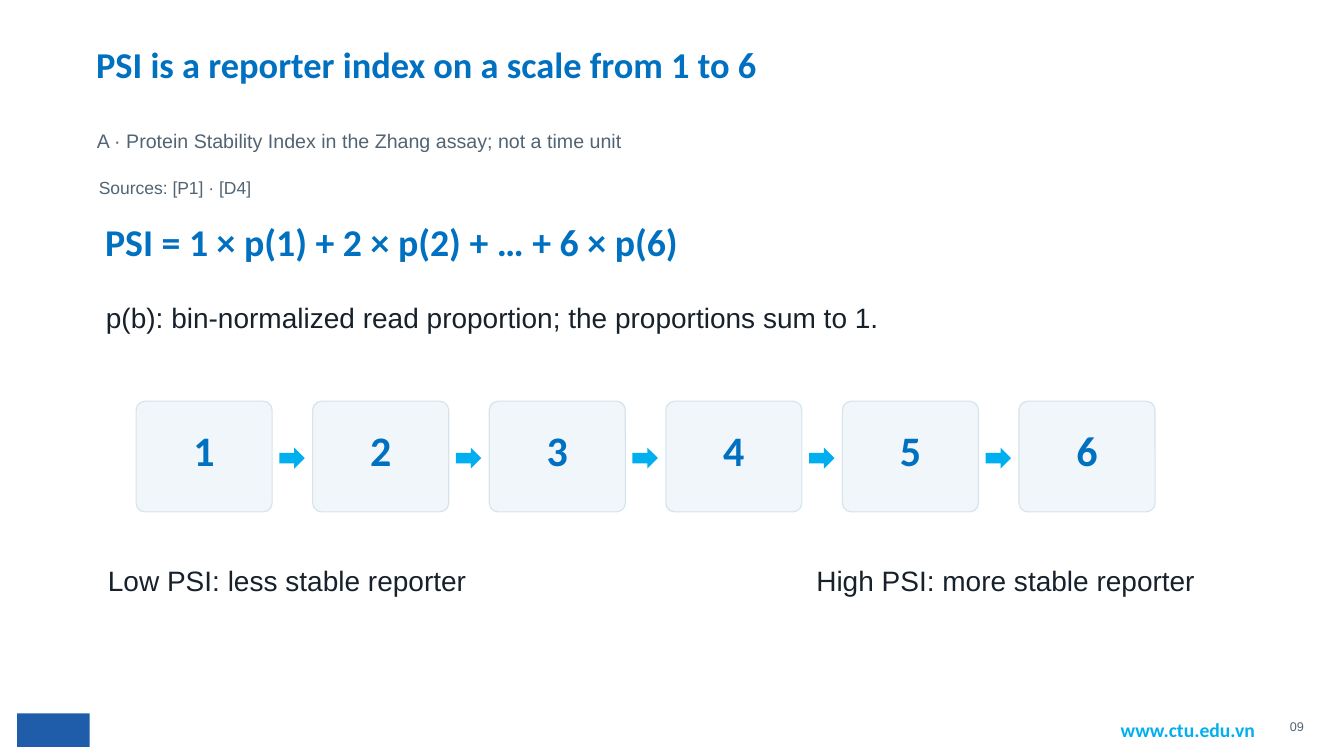
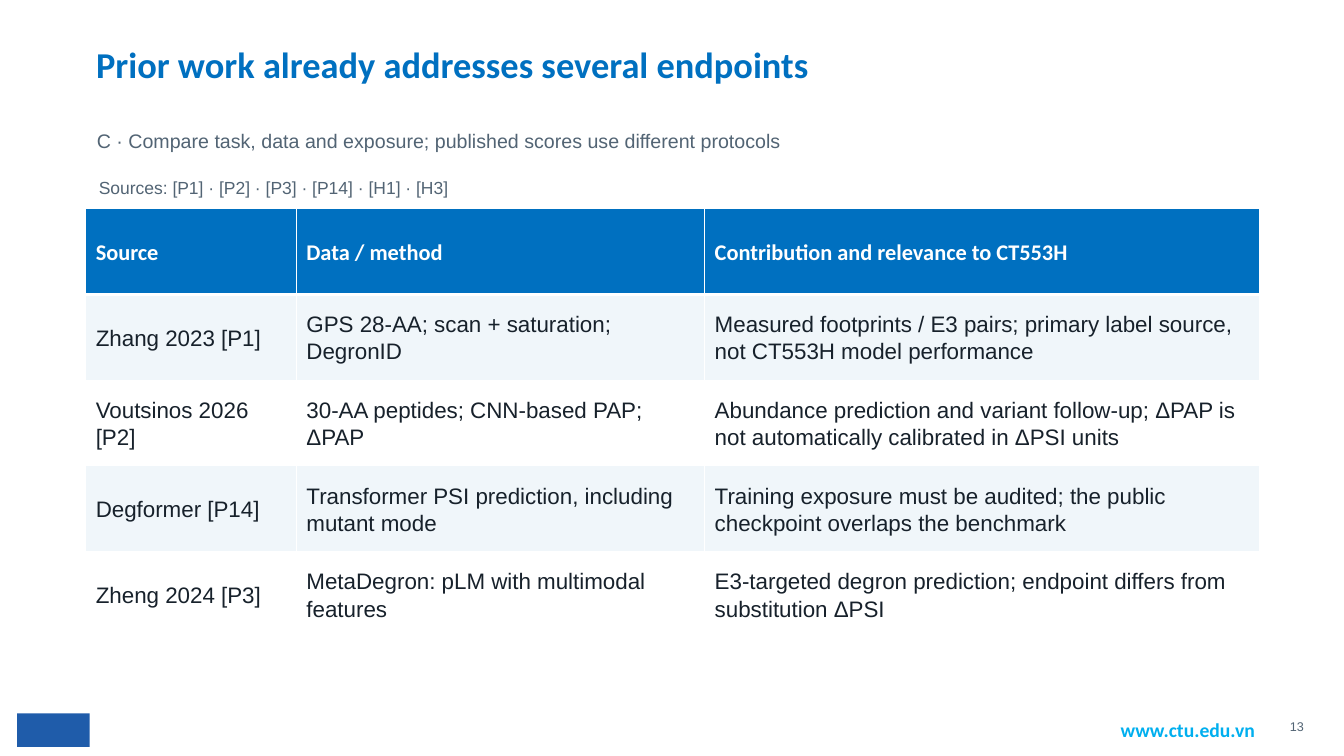
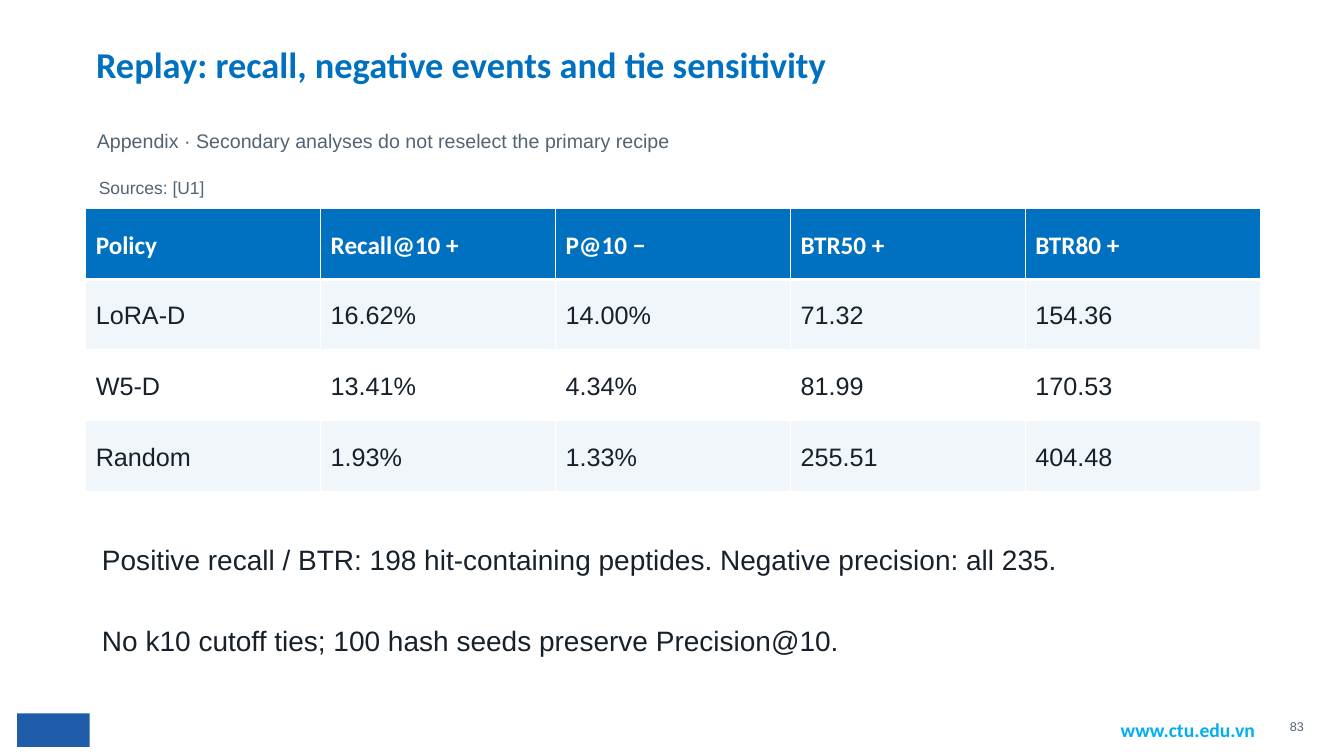
from dataclasses import dataclass, replace

import pptx
import pptx.dml.color
import pptx.enum.shapes
import pptx.enum.text
import pptx.oxml.ns
import pptx.util
from lxml import etree

Cm = pptx.util.Cm
Pt = pptx.util.Pt
Align = pptx.enum.text.PP_ALIGN
Anchor = pptx.enum.text.MSO_ANCHOR
Shape = pptx.enum.shapes.MSO_SHAPE
qn = pptx.oxml.ns.qn

HUES = {
    "blue": "0070C0",
    "cyan": "00AFEF",
    "navy": "1F5CAA",
    "ink": "17212B",
    "slate": "526474",
    "pale": "F0F6FA",
    "edge": "D6E3EC",
    "white": "FFFFFF",
}
HEAD, BODY = "Calibri", "Arial"
TITLE_ONLY, TITLE_BODY = 5, 1


@dataclass(frozen=True)
class Box:
    """Left, top, width and height in centimetres."""
    x: float
    y: float
    w: float
    h: float


@dataclass(frozen=True)
class Style:
    size: float
    hue: str
    face: str = BODY
    bold: bool = False
    align: Align = Align.LEFT
    lead: float = 1.13
    after: float = 3


@dataclass(frozen=True)
class Label:
    box: Box
    text: str
    style: Style


@dataclass(frozen=True)
class Grid:
    cols: list[float]
    row: float
    size: float
    rows: list[list[str]]


TITLE = Style(26, "blue", HEAD, True)
TOPIC = Style(14, "slate")
CITE = Style(12.5, "slate")
PAGE = Style(9, "slate", align=Align.RIGHT)
RULE = Style(27, "blue", HEAD, True)
BIN = Style(30, "blue", HEAD, True, Align.CENTER)
NOTE = Style(20, "ink")
SITE = Style(14, "cyan", HEAD, True, lead=1, after=0)


def tint(name: str) -> pptx.dml.color.RGBColor:
    return pptx.dml.color.RGBColor.from_string(HUES[name])


def place(shape, box: Box) -> None:
    shape.left, shape.top = Cm(box.x), Cm(box.y)
    shape.width, shape.height = Cm(box.w), Cm(box.h)


def inset(frame, gap: float = 0.03) -> None:
    """Sets all four inner margins and anchors the text at the top."""
    frame.margin_left = frame.margin_right = Cm(gap)
    frame.margin_top = frame.margin_bottom = Cm(gap)
    frame.vertical_anchor = Anchor.TOP
    frame.auto_size = pptx.enum.text.MSO_AUTO_SIZE.NONE
    frame.word_wrap = True


def write(para, text: str, style: Style) -> None:
    para.alignment = style.align
    para.line_spacing = style.lead
    para.space_before, para.space_after = Pt(0), Pt(style.after)
    run = para.add_run()
    run.text = text
    run.font.name, run.font.size = style.face, Pt(style.size)
    run.font.bold = style.bold
    run.font.color.rgb = tint(style.hue)


def add_text(slide, label: Label, tight: bool = True) -> None:
    box = label.box
    frame = slide.shapes.add_textbox(Cm(box.x), Cm(box.y), Cm(box.w), Cm(box.h)).text_frame
    frame.word_wrap = True
    if tight:
        inset(frame)
    write(frame.paragraphs[0], label.text, label.style)


def add_block(slide, kind: Shape, box: Box, fill: str, edge: str = ""):
    shape = slide.shapes.add_shape(kind, Cm(box.x), Cm(box.y), Cm(box.w), Cm(box.h))
    shape.shadow.inherit = False
    shape.fill.solid()
    shape.fill.fore_color.rgb = tint(fill)
    if edge:
        shape.line.color.rgb = tint(edge)
        shape.line.width = Pt(0.8)
    else:
        shape.line.fill.background()
    return shape


def add_foot(slide, page: str) -> None:
    add_block(slide, Shape.RECTANGLE, Box(0.43, 17.98, 1.83, 0.84), "navy")
    add_text(slide, Label(Box(27.99, 17.96, 4.17, 0.86), "www.ctu.edu.vn", SITE), tight=False)
    add_text(slide, Label(Box(32.13, 18.03, 0.76, 0.51), page, PAGE))


def add_slide(deck, kind: int, page: str, title: str, topic: str, cites: list[str]):
    """Adds a slide with its title, topic line, sources and footer."""
    slide = deck.slides.add_slide(deck.slide_layouts[kind])
    head = slide.shapes.title
    place(head, Box(2.39, 0.89, 29.59, 2.08))
    inset(head.text_frame)
    write(head.text_frame.paragraphs[0], title, TITLE)
    add_text(slide, Label(Box(2.41, 3.15, 29.34, 1.22), topic, TOPIC))
    refs = " · ".join(f"[{cite}]" for cite in cites)
    add_text(slide, Label(Box(2.46, 4.37, 29.13, 0.69), f"Sources: {refs}", CITE))
    add_foot(slide, page)
    return slide


def add_rule(cell) -> None:
    """Draws a thick white line under a header cell."""
    line = etree.Element(qn("a:lnB"), w=str(Pt(3)))
    fill = etree.SubElement(line, qn("a:solidFill"))
    etree.SubElement(fill, qn("a:srgbClr"), val=HUES["white"])
    cell._tc.get_or_add_tcPr().insert(0, line)


def add_grid(slide, grid: Grid) -> None:
    table = slide.shapes.add_table(
        len(grid.rows), len(grid.cols), Cm(2.16), Cm(5.26),
        Cm(sum(grid.cols)), Cm(grid.row * len(grid.rows))).table
    for col, width in zip(table.columns, grid.cols):
        col.width = Cm(width)
    top = Style(grid.size, "white", HEAD, True, lead=1.1, after=0)
    rest = Style(grid.size, "ink", lead=1.1, after=0)
    for r, row in enumerate(grid.rows):
        table.rows[r].height = Cm(grid.row)
        fill = "blue" if r == 0 else "pale" if r % 2 else "white"
        for c, text in enumerate(row):
            cell = table.cell(r, c)
            cell.fill.solid()
            cell.fill.fore_color.rgb = tint(fill)
            cell.vertical_anchor = Anchor.MIDDLE
            write(cell.text_frame.paragraphs[0], text, rest if r else top)
            if r == 0:
                add_rule(cell)


def add_notes(slide, box: Box, lines: list[str], gap: float) -> None:
    """Fills the body placeholder with plain lines, set apart by gap points."""
    body = slide.placeholders[1]
    place(body, box)
    frame = body.text_frame
    inset(frame)
    for i, line in enumerate(lines):
        para = frame.add_paragraph() if i else frame.paragraphs[0]
        write(para, line, NOTE)
        para.space_before = Pt(gap if i else 0)
        props = para._p.get_or_add_pPr()
        props.set("marL", "0")
        props.set("indent", "0")
        etree.SubElement(props, qn("a:buNone"))


def add_scale(slide, count: int) -> None:
    """Draws the numbered bins with an arrow between neighbours."""
    left, top, width, pitch = 3.43, 10.11, 3.43, 4.45
    for i in range(count):
        x = left + i * pitch
        tile = add_block(slide, Shape.ROUNDED_RECTANGLE, Box(x, top, width, 2.79), "pale", "edge")
        tile.adjustments[0] = 0.08
        inset(tile.text_frame)
        tile.text_frame.margin_top = Cm(0.36)
        write(tile.text_frame.paragraphs[0], str(i + 1), BIN)
        if i < count - 1:
            add_block(slide, Shape.RIGHT_ARROW, Box(x + 3.61, 11.28, 0.64, 0.53), "cyan")


def draw_index(deck) -> None:
    slide = add_slide(
        deck, TITLE_ONLY, "09", "PSI is a reporter index on a scale from 1 to 6",
        "A · Protein Stability Index in the Zhang assay; not a time unit", ["P1", "D4"])
    add_text(slide, Label(Box(2.62, 5.33, 28.07, 1.65),
                          "PSI = 1 × p(1) + 2 × p(2) + … + 6 × p(6)", RULE))
    add_text(slide, Label(Box(2.64, 7.44, 28.19, 1.4),
                          "p(b): bin-normalized read proportion; the proportions sum to 1.", NOTE))
    add_scale(slide, 6)
    add_text(slide, Label(Box(2.69, 14.07, 13.34, 1.4), "Low PSI: less stable reporter", NOTE))
    add_text(slide, Label(Box(16.81, 14.07, 13.34, 1.4), "High PSI: more stable reporter",
                          replace(NOTE, align=Align.RIGHT)))


def draw_prior(deck) -> None:
    slide = add_slide(
        deck, TITLE_ONLY, "13", "Prior work already addresses several endpoints",
        "C · Compare task, data and exposure; published scores use different protocols",
        ["P1", "P2", "P3", "P14", "H1", "H3"])
    add_grid(slide, Grid([5.31, 10.29, 13.99], 2.16, 16, [
        ["Source", "Data / method", "Contribution and relevance to CT553H"],
        ["Zhang 2023 [P1]", "GPS 28-AA; scan + saturation; DegronID",
         "Measured footprints / E3 pairs; primary label source, not CT553H model performance"],
        ["Voutsinos 2026 [P2]", "30-AA peptides; CNN-based PAP; ΔPAP",
         "Abundance prediction and variant follow-up; ΔPAP is not automatically calibrated"
         " in ΔPSI units"],
        ["Degformer [P14]", "Transformer PSI prediction, including mutant mode",
         "Training exposure must be audited; the public checkpoint overlaps the benchmark"],
        ["Zheng 2024 [P3]", "MetaDegron: pLM with multimodal features",
         "E3-targeted degron prediction; endpoint differs from substitution ΔPSI"],
    ]))


def draw_replay(deck) -> None:
    slide = add_slide(
        deck, TITLE_BODY, "83", "Replay: recall, negative events and tie sensitivity",
        "Appendix · Secondary analyses do not reselect the primary recipe", ["U1"])
    add_grid(slide, Grid([5.92] * 5, 1.78, 18, [
        ["Policy", "Recall@10 +", "P@10 −", "BTR50 +", "BTR80 +"],
        ["LoRA-D", "16.62%", "14.00%", "71.32", "154.36"],
        ["W5-D", "13.41%", "4.34%", "81.99", "170.53"],
        ["Random", "1.93%", "1.33%", "255.51", "404.48"],
    ]))
    add_notes(slide, Box(2.54, 13.54, 28.45, 3.2), [
        "Positive recall / BTR: 198 hit-containing peptides. Negative precision: all 235.",
        "No k10 cutoff ties; 100 hash seeds preserve Precision@10.",
    ], 27.5)


def main() -> None:
    deck = pptx.Presentation()
    deck.slide_width, deck.slide_height = Cm(33.87), Cm(19.05)
    for draw in (draw_index, draw_prior, draw_replay):
        draw(deck)
    deck.save("out.pptx")


if __name__ == "__main__":
    main()
